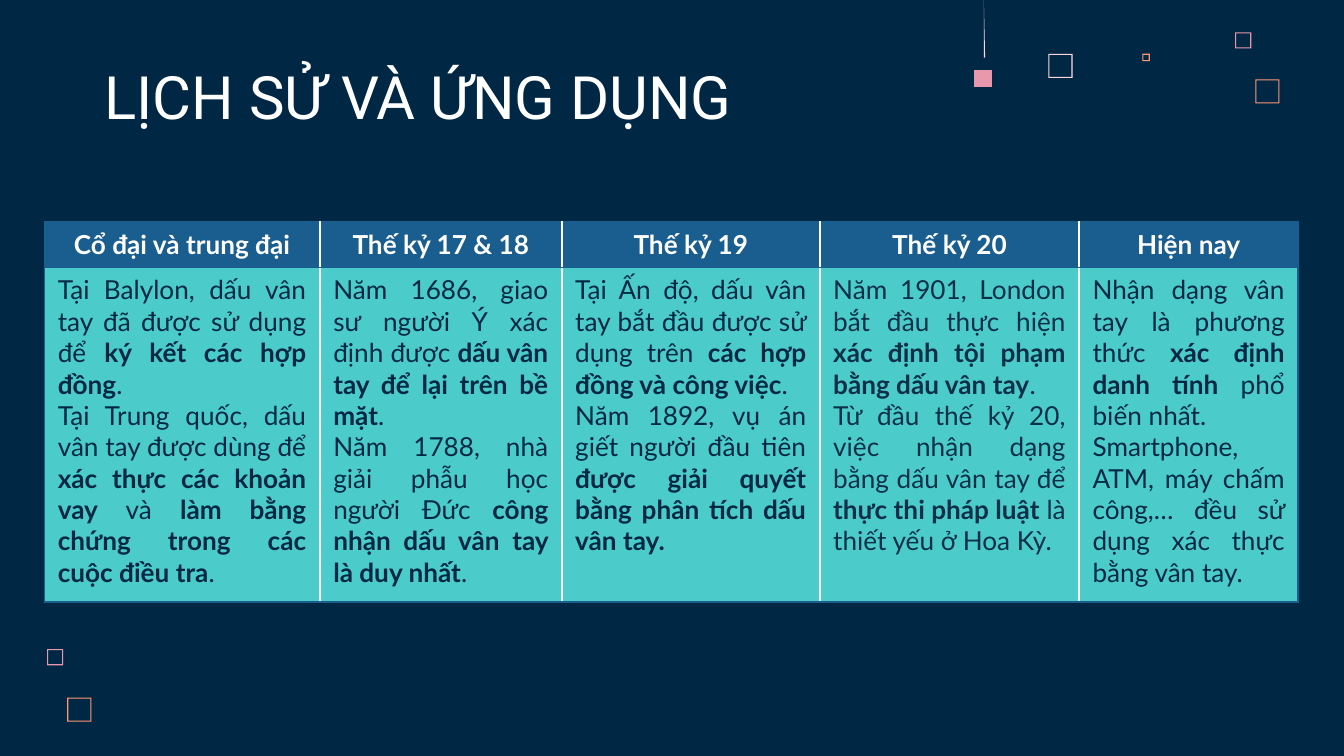
"""Build a slide with a table on the history and uses of fingerprints."""
from typing import NamedTuple

from lxml.etree import SubElement
from pptx import Presentation
from pptx.dml.color import RGBColor
from pptx.enum.text import MSO_ANCHOR as Anchor, PP_ALIGN as Align
from pptx.oxml.ns import qn
from pptx.util import Inches, Pt

GRID = Inches(0.1)
SLIDE_COLUMNS, SLIDE_ROWS = 100, 56.25

NAVY = RGBColor(0x00, 0x28, 0x45)
INK = RGBColor(0x0D, 0x2F, 0x48)
BLUE = RGBColor(0x1A, 0x5E, 0x8F)
TEAL = RGBColor(0x4B, 0xCC, 0xCB)
WHITE = RGBColor(0xFF, 0xFF, 0xFF)
BLUSH = RGBColor(0xFF, 0xD6, 0xE1)
PINK = RGBColor(0xE8, 0x98, 0xAC)
ORANGE = RGBColor(0xFF, 0x99, 0x73)


class Frame(NamedTuple):
    """A hollow square on the grid."""
    column: float
    row: float
    side: float
    color: RGBColor


class Era(NamedTuple):
    """A table column; double asterisks enclose bold words."""
    heading: str
    columns: float
    color: RGBColor
    paragraphs: tuple[str, ...]


FRAMES = (
    Frame(78, 4, 1.8, BLUSH),
    Frame(91.9, 2.4, 1.2, PINK),
    Frame(85, 4, 0.55, ORANGE),
    Frame(93.4, 5.9, 1.8, ORANGE),
    Frame(3.5, 48.3, 1.2, PINK),
    Frame(5, 51.9, 1.8, ORANGE),
)
ERAS = (
    Era("Cổ đại và trung đại", 20.5, NAVY, (
        "Tại Balylon, dấu vân tay đã được sử dụng để **ký kết các hợp đồng**.",
        "Tại Trung quốc, dấu vân tay được dùng để **xác thực các khoản vay** và "
        "**làm bằng chứng trong các cuộc điều tra**.")),
    Era("Thế kỷ 17 & 18", 18, NAVY, (
        "Năm 1686, giao sư người Ý xác định được **dấu vân tay để lại trên bề mặt**.",
        "Năm 1788, nhà giải phẫu học người Đức **công nhận dấu vân tay là duy nhất**.")),
    Era("Thế kỷ 19", 19.2, NAVY, (
        "Tại Ấn độ, dấu vân tay bắt đầu được sử dụng trên **các hợp đồng và công việc**.",
        "Năm 1892, vụ án giết người đầu tiên "
        "**được giải quyết bằng phân tích dấu vân tay.**")),
    Era("Thế kỷ 20", 19.3, INK, (
        "Năm 1901, London bắt đầu thực hiện **xác định tội phạm bằng dấu vân tay**.",
        "Từ đầu thế kỷ 20, việc nhận dạng bằng dấu vân tay để **thực thi pháp luật** "
        "là thiết yếu ở Hoa Kỳ.")),
    Era("Hiện nay", 16.3, NAVY, (
        "Nhận dạng vân tay là phương thức **xác định danh tính** phổ biến nhất.",
        "Smartphone, ATM, máy chấm công,… đều sử dụng xác thực bằng vân tay.")),
)


def units(count: float) -> int:
    """Convert grid units to a length."""
    return round(count * GRID)


def square(left: float, top: float, side: float) -> list[tuple[float, float]]:
    """Return the clockwise corners of a square."""
    return [(left, top), (left + side, top), (left + side, top + side), (left, top + side)]


def draw_outline(slide, color: RGBColor, *contours: list[tuple[float, float]]) -> None:
    """Draw closed contours as one filled freeform."""
    scaled = [[(units(x), units(y)) for x, y in contour] for contour in contours]
    builder = slide.shapes.build_freeform(*scaled[0][0])
    for index, contour in enumerate(scaled):
        if index:
            builder.move_to(*contour[0])
        builder.add_line_segments(contour[1:], close=True)
    shape = builder.convert_to_shape()
    shape.shadow.inherit = False
    shape.fill.solid()
    shape.fill.fore_color.rgb = color
    shape.line.fill.background()


def draw_frame(slide, frame: Frame, edge: float = 0.08) -> None:
    """Draw a hollow square with a thin edge."""
    outer = square(frame.column, frame.row, frame.side)
    inner = square(frame.column + edge, frame.row + edge, frame.side - 2 * edge)
    draw_outline(slide, frame.color, outer, inner[::-1])


def draw_title(slide, text: str) -> None:
    """Write the slide title."""
    box = slide.shapes.add_textbox(units(6.8), units(4.5), units(59.9), units(6.3))
    frame = box.text_frame
    frame.word_wrap = True
    frame.vertical_anchor = Anchor.BOTTOM
    frame.margin_left = frame.margin_right = units(1)
    frame.margin_top = frame.margin_bottom = units(1)
    paragraph = frame.paragraphs[0]
    paragraph.text = text
    style_paragraph(paragraph, "Roboto", 32, WHITE)


def style_paragraph(paragraph, name: str, size: float, color: RGBColor) -> None:
    """Set the font of a paragraph."""
    paragraph.font.name = name
    paragraph.font.size = Pt(size)
    paragraph.font.color.rgb = color


def style_cell(cell, fill: RGBColor, left: RGBColor, right: RGBColor) -> None:
    """Set the borders and the fill of a cell."""
    properties = cell._tc.get_or_add_tcPr()
    for tag, color in (("a:lnL", left), ("a:lnR", right), ("a:lnT", BLUE), ("a:lnB", BLUE)):
        line = SubElement(properties, qn(tag), w=str(Pt(1)))
        SubElement(SubElement(line, qn("a:solidFill")), qn("a:srgbClr"), val=str(color))
    cell.fill.solid()
    cell.fill.fore_color.rgb = fill


def write_cell(cell, paragraphs: tuple[str, ...], align: Align, color: RGBColor) -> None:
    """Write paragraphs, with marked words in bold."""
    frame = cell.text_frame
    for index, text in enumerate(paragraphs):
        paragraph = frame.add_paragraph() if index else frame.paragraphs[0]
        paragraph.alignment = align
        style_paragraph(paragraph, "Lato", 14, color)
        for position, words in enumerate(text.split("**")):
            if words:
                run = paragraph.add_run()
                run.text = words
                run.font.bold = position % 2 == 1


def draw_table(slide, eras: tuple[Era, ...]) -> None:
    """Draw one table column for each era."""
    width = sum(era.columns for era in eras)
    table = slide.shapes.add_table(
        2, len(eras), units(3.3), units(16.5), units(width), units(28.3)).table
    table.first_row = table.horz_banding = False
    table.rows[0].height, table.rows[1].height = units(3.4), units(24.9)
    for index, era in enumerate(eras):
        table.columns[index].width = units(era.columns)
        left = WHITE if index else BLUE
        right = WHITE if index < len(eras) - 1 else BLUE
        heading, body = table.cell(0, index), table.cell(1, index)
        style_cell(heading, BLUE, left, right)
        style_cell(body, TEAL, left, right)
        write_cell(heading, (f"**{era.heading}**",), Align.CENTER, WHITE)
        write_cell(body, era.paragraphs, Align.JUSTIFY, era.color)


def main() -> None:
    """Build and save the presentation."""
    presentation = Presentation()
    presentation.slide_width = units(SLIDE_COLUMNS)
    presentation.slide_height = units(SLIDE_ROWS)
    slide = presentation.slides.add_slide(presentation.slide_layouts[6])
    slide.background.fill.solid()
    slide.background.fill.fore_color.rgb = NAVY
    for frame in FRAMES:
        draw_frame(slide, frame)
    draw_outline(slide, PINK, square(72.5, 5.2, 1.3))
    draw_outline(slide, BLUSH, [(73.2, 0), (73.2, 4.3), (73.3, 4.3)])
    draw_title(slide, "LỊCH SỬ VÀ ỨNG DỤNG")
    draw_table(slide, ERAS)
    presentation.save("out.pptx")


if __name__ == "__main__":
    main()
